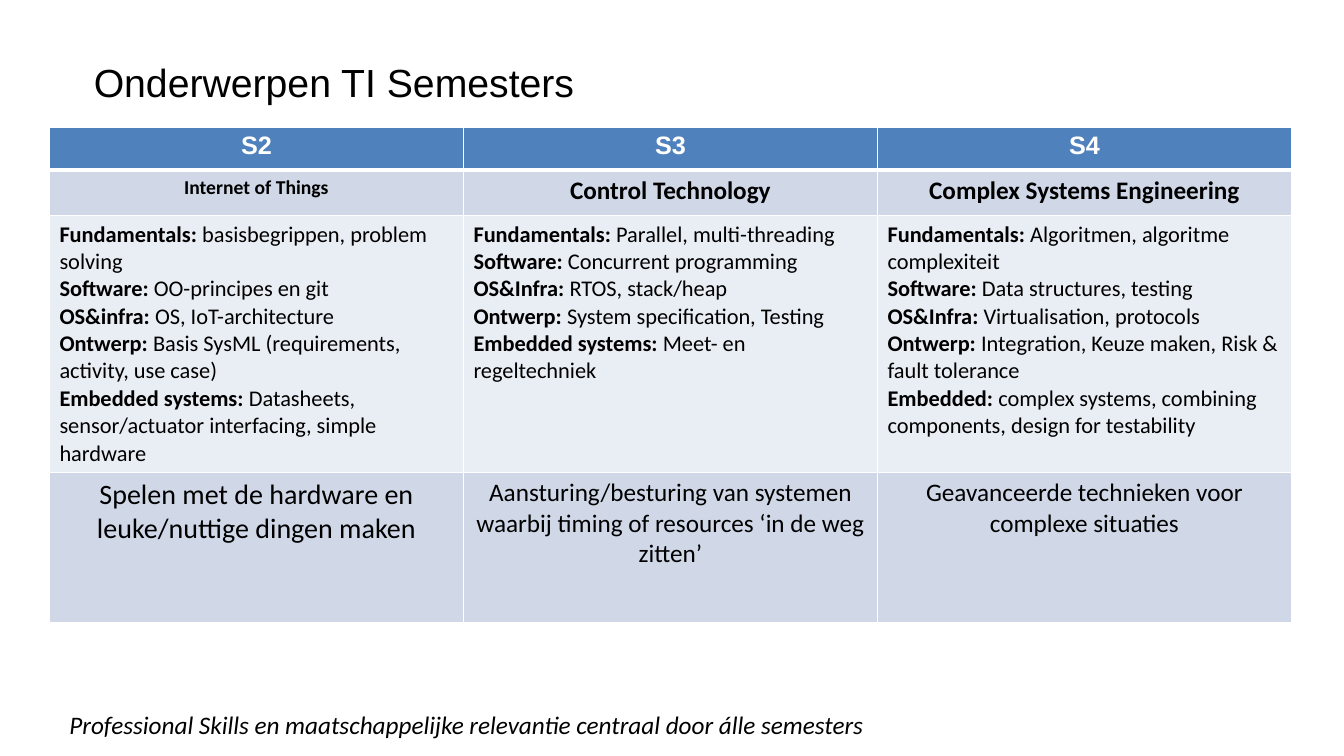
from dataclasses import dataclass

from lxml.etree import SubElement
from pptx import Presentation
from pptx.dml.color import RGBColor
from pptx.enum.text import MSO_ANCHOR, PP_ALIGN
from pptx.oxml.ns import qn
from pptx.util import Inches, Pt


@dataclass(frozen=True)
class Theme:
    heading_font: str = "Arial"
    body_font: str = "Calibri"
    black: str = "000000"
    white: str = "FFFFFF"
    header_fill: str = "4F81BD"
    dark_band: str = "D0D8E8"
    light_band: str = "E9EDF4"
    title_size: int = 28
    large_size: int = 20
    normal_size: int = 18
    topic_size: int = 16
    small_size: int = 14
    thin_border: int = 1
    thick_border: int = 3


THEME = Theme()

ROW_HEIGHTS = (0.43, 0.45, 2.54, 1.49)

SEMESTERS = ("S2", "S3", "S4")

THEMES = (
    ("Internet of Things", THEME.small_size),
    ("Control Technology", THEME.normal_size),
    ("Complex Systems Engineering", THEME.normal_size),
)

TOPICS = (
    (
        ("Fundamentals:", "basisbegrippen, problem solving"),
        ("Software:", "OO-principes en git"),
        ("OS&infra:", "OS, IoT-architecture"),
        ("Ontwerp:", "Basis SysML (requirements, activity, use case)"),
        ("Embedded systems:", "Datasheets, sensor/actuator interfacing, simple hardware"),
    ),
    (
        ("Fundamentals:", "Parallel, multi-threading"),
        ("Software:", "Concurrent programming"),
        ("OS&Infra:", "RTOS, stack/heap"),
        ("Ontwerp:", "System specification, Testing"),
        ("Embedded systems:", "Meet- en regeltechniek"),
    ),
    (
        ("Fundamentals:", "Algoritmen, algoritme complexiteit"),
        ("Software:", "Data structures, testing"),
        ("OS&Infra:", "Virtualisation, protocols"),
        ("Ontwerp:", "Integration, Keuze maken, Risk & fault tolerance"),
        ("Embedded:", "complex systems, combining components, design for testability"),
    ),
)

SUMMARIES = (
    ("Spelen met de hardware en leuke/nuttige dingen maken", THEME.large_size),
    ("Aansturing/besturing van systemen waarbij timing of resources ‘in de weg zitten’",
     THEME.normal_size),
    ("Geavanceerde technieken voor complexe situaties", THEME.normal_size),
)


def format_run(run, size, font=THEME.body_font, color=THEME.black, bold=False, italic=False):
    run.font.size = Pt(size)
    run.font.name = font
    run.font.color.rgb = RGBColor.from_string(color)
    run.font.bold = bold
    run.font.italic = italic


def style_cell(cell, fill, top, bottom):
    properties = cell._tc.get_or_add_tcPr()
    widths = {"a:lnL": THEME.thin_border, "a:lnR": THEME.thin_border,
              "a:lnT": top, "a:lnB": bottom}
    for tag, width in widths.items():
        line = SubElement(properties, qn(tag), w=str(Pt(width)))
        solid = SubElement(line, qn("a:solidFill"))
        SubElement(solid, qn("a:srgbClr"), val=THEME.white)
    cell.fill.solid()
    cell.fill.fore_color.rgb = RGBColor.from_string(fill)


def write_centered(cell, text, size, **style):
    paragraph = cell.text_frame.paragraphs[0]
    paragraph.text = text
    paragraph.alignment = PP_ALIGN.CENTER
    format_run(paragraph.runs[0], size, **style)


def write_topics(cell, topics):
    text_frame = cell.text_frame
    text_frame.text = "\n".join(f"{label} " for label, _ in topics)
    for paragraph, (_, description) in zip(text_frame.paragraphs, topics):
        format_run(paragraph.runs[0], THEME.topic_size, bold=True)
        run = paragraph.add_run()
        run.text = description
        format_run(run, THEME.topic_size)


def add_title(slide, left, top, width, height):
    title = slide.shapes.title
    title.left, title.top = Inches(left), Inches(top)
    title.width, title.height = Inches(width), Inches(height)
    text_frame = title.text_frame
    text_frame.text = "Onderwerpen TI Semesters"
    text_frame.vertical_anchor = MSO_ANCHOR.MIDDLE
    paragraph = text_frame.paragraphs[0]
    paragraph.alignment = PP_ALIGN.LEFT
    paragraph.line_spacing = 0.9
    format_run(paragraph.runs[0], THEME.title_size, font=THEME.heading_font)


def add_semester_table(slide, left, top, width):
    table = slide.shapes.add_table(
        len(ROW_HEIGHTS), len(SEMESTERS), Inches(left), Inches(top),
        Inches(width), Inches(sum(ROW_HEIGHTS))).table
    fills = (THEME.header_fill, THEME.dark_band, THEME.light_band, THEME.dark_band)
    for row_index, (height, fill) in enumerate(zip(ROW_HEIGHTS, fills)):
        table.rows[row_index].height = Inches(height)
        top_border = THEME.thick_border if row_index == 1 else THEME.thin_border
        bottom_border = THEME.thick_border if row_index == 0 else THEME.thin_border
        for cell in table.rows[row_index].cells:
            style_cell(cell, fill, top_border, bottom_border)

    columns = zip(SEMESTERS, THEMES, TOPICS, SUMMARIES)
    for column, (semester, theme, topics, summary) in enumerate(columns):
        write_centered(table.cell(0, column), semester, THEME.normal_size,
                       font=THEME.heading_font, color=THEME.white, bold=True)
        write_centered(table.cell(1, column), *theme, bold=True)
        write_topics(table.cell(2, column), topics)
        write_centered(table.cell(3, column), *summary)


def add_closing_line(slide, left, top, width, height):
    text_frame = slide.shapes.add_textbox(
        Inches(left), Inches(top), Inches(width), Inches(height)).text_frame
    text_frame.word_wrap = True
    text_frame.text = "Professional Skills en maatschappelijke relevantie centraal door álle semesters"
    format_run(text_frame.paragraphs[0].runs[0], THEME.normal_size, italic=True)


def main():
    presentation = Presentation()
    presentation.slide_width = Inches(13.33)
    presentation.slide_height = Inches(7.5)
    slide = presentation.slides.add_slide(presentation.slide_layouts[5])
    add_title(slide, 0.83, 0.41, 11.5, 0.86)
    add_semester_table(slide, 0.49, 1.26, 12.32)
    add_closing_line(slide, 0.59, 6.99, 11.48, 0.4)
    presentation.save("out.pptx")


if __name__ == "__main__":
    main()
